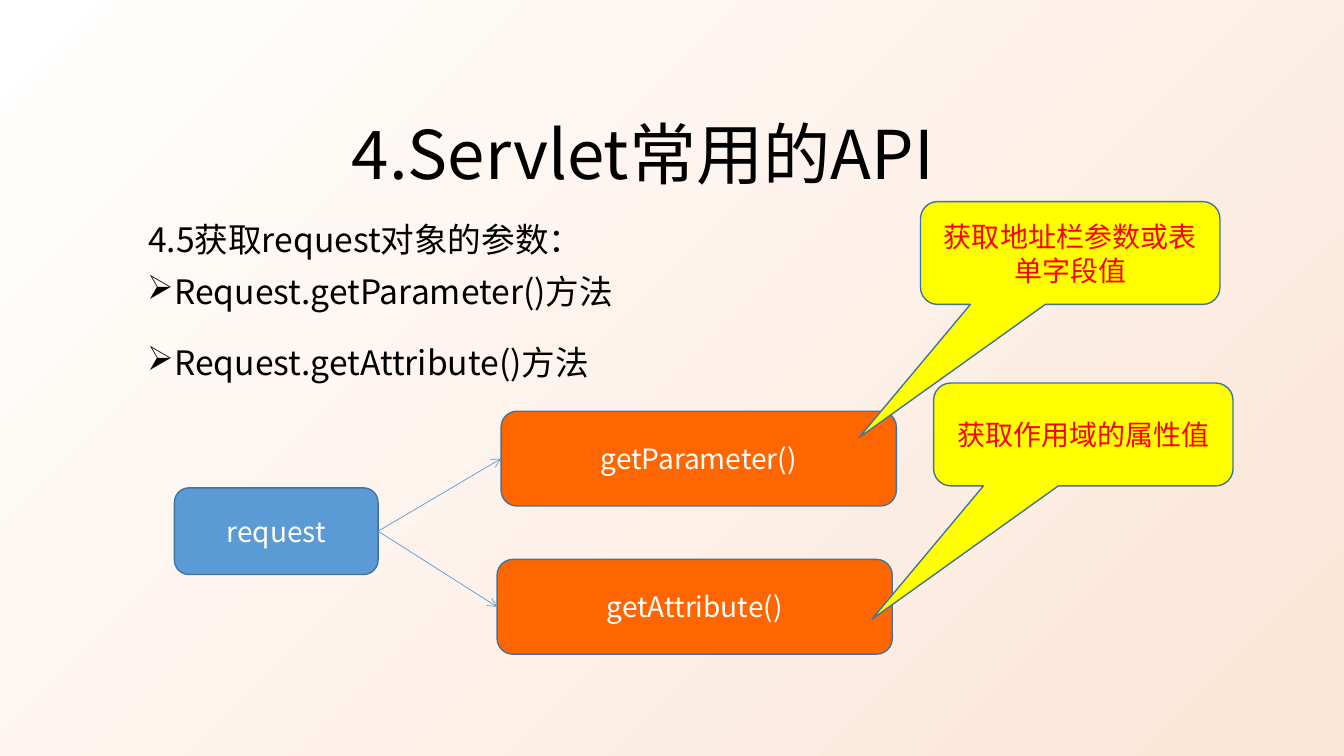
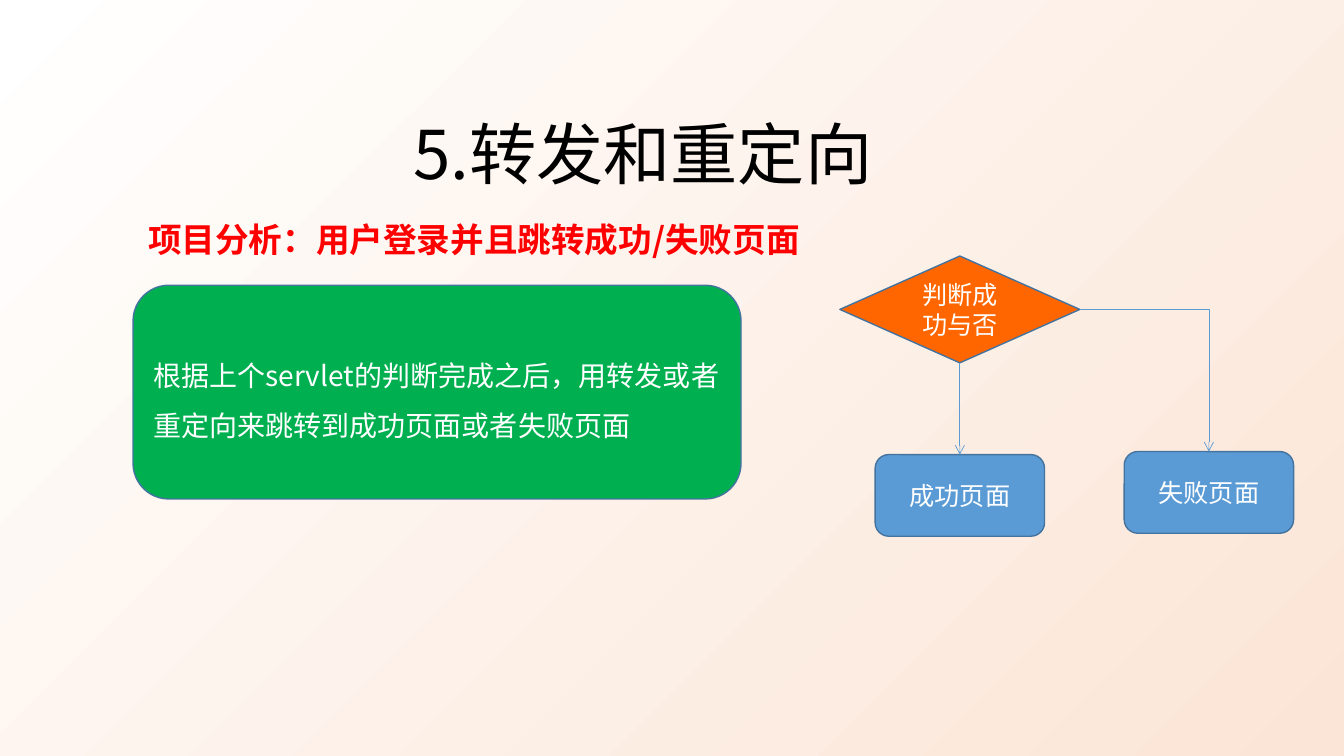
from lxml import etree
from pptx import Presentation
from pptx.dml.color import RGBColor
from pptx.enum.shapes import MSO_CONNECTOR, MSO_SHAPE
from pptx.enum.text import MSO_ANCHOR, MSO_AUTO_SIZE, PP_ALIGN
from pptx.oxml.ns import qn
from pptx.util import Inches, Pt

ROUNDED, DIAMOND = MSO_SHAPE.ROUNDED_RECTANGLE, MSO_SHAPE.DIAMOND
CALLOUT = MSO_SHAPE.ROUNDED_RECTANGULAR_CALLOUT
STRAIGHT, ELBOW = MSO_CONNECTOR.STRAIGHT, MSO_CONNECTOR.ELBOW
LEFT, CENTER = PP_ALIGN.LEFT, PP_ALIGN.CENTER
TOP, MIDDLE = MSO_ANCHOR.TOP, MSO_ANCHOR.MIDDLE
SIDE_TOP, SIDE_LEFT, SIDE_BOTTOM, SIDE_RIGHT = range(4)

SANS, LATIN = "Noto Sans CJK SC", "Calibri"
COLORS = {
    "black": "000000", "white": "FFFFFF", "peach": "FBE5D6", "red": "FF0000",
    "blue": "5B9BD5", "outline": "43739E", "orange": "FF6600",
    "yellow": "FFFF00", "green": "00B050",
}
TITLE_AREA = (1.4, 1.06, 9.95, 0.91)
HEADING_AREA = (1.37, 2.12, 9.95, 0.5)
BULLET_AREA = (1.36, 2.64, 9.95, 1.31)
BULLET_INDENT = Inches(0.27)
CALLOUT_TAIL = (-0.706, 1.797, 0.167)

STYLES = {
    "source": dict(kind=ROUNDED, size=(2.02, 0.86), fill="blue"),
    "method": dict(kind=ROUNDED, size=(3.92, 0.94), fill="orange"),
    "callout": dict(kind=CALLOUT, size=(2.97, 1.02), fill="yellow", color="red"),
    "summary": dict(kind=ROUNDED, size=(6.03, 2.12), fill="green", align=LEFT, spacing=1.5),
    "decision": dict(kind=DIAMOND, size=(2.38, 1.06), fill="orange", points=18, font=LATIN),
    "result": dict(kind=ROUNDED, size=(1.68, 0.81), fill="blue", points=18, font=LATIN),
}
SLIDES = [
    {
        "title": "4.Servlet常用的API",
        "heading": ("4.5获取request对象的参数：", "black", False),
        "bullets": ["Request.getParameter()方法", "Request.getAttribute()方法"],
        "shapes": [
            ("source", 1.73, 4.84, "request"),
            ("method", 4.97, 4.08, "getParameter()"),
            ("method", 4.93, 5.55, "getAttribute()"),
            ("callout", 9.13, 2, "获取地址栏参数或表单字段值"),
            ("callout", 9.26, 3.8, "获取作用域的属性值"),
        ],
        "arrows": [
            (STRAIGHT, "request", SIDE_RIGHT, "getParameter()", SIDE_LEFT),
            (STRAIGHT, "request", SIDE_RIGHT, "getAttribute()", SIDE_LEFT),
        ],
    },
    {
        "title": "5.转发和重定向",
        "heading": ("项目分析：用户登录并且跳转成功/失败页面", "red", True),
        "bullets": [],
        "shapes": [
            ("summary", 1.32, 2.83,
             "根据上个servlet的判断完成之后，用转发或者重定向来跳转到成功页面或者失败页面"),
            ("decision", 8.33, 2.54, "判断成功与否"),
            ("result", 8.68, 4.51, "成功页面"),
            ("result", 11.15, 4.48, "失败页面"),
        ],
        "arrows": [
            (STRAIGHT, "判断成功与否", SIDE_BOTTOM, "成功页面", SIDE_TOP),
            (ELBOW, "判断成功与否", SIDE_RIGHT, "失败页面", SIDE_TOP),
        ],
    },
]


def rgb(name):
    return RGBColor.from_string(COLORS[name])


def write(para, text, points, color="black", font=SANS, bold=False, align=LEFT):
    para.text = text
    para.alignment = align
    para.font.size = Pt(points)
    para.font.bold = bold
    para.font.color.rgb = rgb(color)
    para.font.name = font
    defaults = para._p.get_or_add_pPr().find(qn("a:defRPr"))
    etree.SubElement(defaults, qn("a:ea"), typeface=SANS)


def set_bullet(para):
    properties = para._p.get_or_add_pPr()
    properties.set("marL", str(BULLET_INDENT))
    properties.set("indent", str(-BULLET_INDENT))
    mark = etree.Element(qn("a:buChar"), char="➢")
    properties.find(qn("a:defRPr")).addprevious(mark)


def paint_background(master):
    fill = master.background.fill
    fill.gradient()
    fill.gradient_angle = 315
    for stop, name in zip(fill.gradient_stops, ("white", "peach")):
        stop.color.rgb = rgb(name)


def add_title(page, text):
    title = page.shapes.title
    title.left, title.top, title.width, title.height = map(Inches, TITLE_AREA)
    frame = title.text_frame
    frame.word_wrap = True
    frame.auto_size = MSO_AUTO_SIZE.NONE
    frame.vertical_anchor = TOP
    write(frame.paragraphs[0], text, 48, align=CENTER)


def add_text_frame(page, area):
    frame = page.shapes.add_textbox(*map(Inches, area)).text_frame
    frame.word_wrap = True
    return frame


def add_bullets(page, items):
    frame = add_text_frame(page, BULLET_AREA)
    for index, text in enumerate(items):
        para = frame.add_paragraph() if index else frame.paragraphs[0]
        write(para, text, 24)
        if index:
            para.space_before = Pt(22)
        set_bullet(para)


def add_box(page, left, top, text, kind, size, fill, color="white",
            points=20, font=SANS, align=CENTER, spacing=None):
    box = page.shapes.add_shape(kind, *map(Inches, (left, top, *size)))
    box.shadow.inherit = False
    box.fill.solid()
    box.fill.fore_color.rgb = rgb(fill)
    box.line.color.rgb = rgb("outline")
    box.line.width = Pt(1)
    if kind == CALLOUT:
        for index, value in enumerate(CALLOUT_TAIL):
            box.adjustments[index] = value
    frame = box.text_frame
    frame.word_wrap = True
    frame.vertical_anchor = MIDDLE
    para = frame.paragraphs[0]
    write(para, text, points, color, font, align=align)
    if spacing:
        para.line_spacing = spacing
    return box


def add_arrow(page, kind, start, start_side, end, end_side):
    arrow = page.shapes.add_connector(kind, 0, 0, 0, 0)
    arrow.begin_connect(start, start_side)
    arrow.end_connect(end, end_side)
    arrow.line.color.rgb = rgb("blue")
    arrow.line.width = Pt(0.5)
    properties = arrow._element.spPr
    etree.SubElement(properties.find(qn("a:ln")), qn("a:tailEnd"), type="arrow")
    etree.SubElement(properties, qn("a:effectLst"))
    if kind == ELBOW:
        properties.find(qn("a:prstGeom")).set("prst", "bentConnector2")


def build_slide(deck, content):
    page = deck.slides.add_slide(deck.slide_layouts.get_by_name("Title Only"))
    add_title(page, content["title"])
    text, color, bold = content["heading"]
    heading = add_text_frame(page, HEADING_AREA)
    write(heading.paragraphs[0], text, 24, color, bold=bold)
    if content["bullets"]:
        add_bullets(page, content["bullets"])
    boxes = {}
    for style, left, top, text in content["shapes"]:
        boxes[text] = add_box(page, left, top, text, **STYLES[style])
    for kind, start, start_side, end, end_side in content["arrows"]:
        add_arrow(page, kind, boxes[start], start_side, boxes[end], end_side)


def main():
    deck = Presentation()
    deck.slide_width, deck.slide_height = Inches(13.33), Inches(7.5)
    paint_background(deck.slide_master)
    for content in SLIDES:
        build_slide(deck, content)
    deck.save("out.pptx")


if __name__ == "__main__":
    main()
